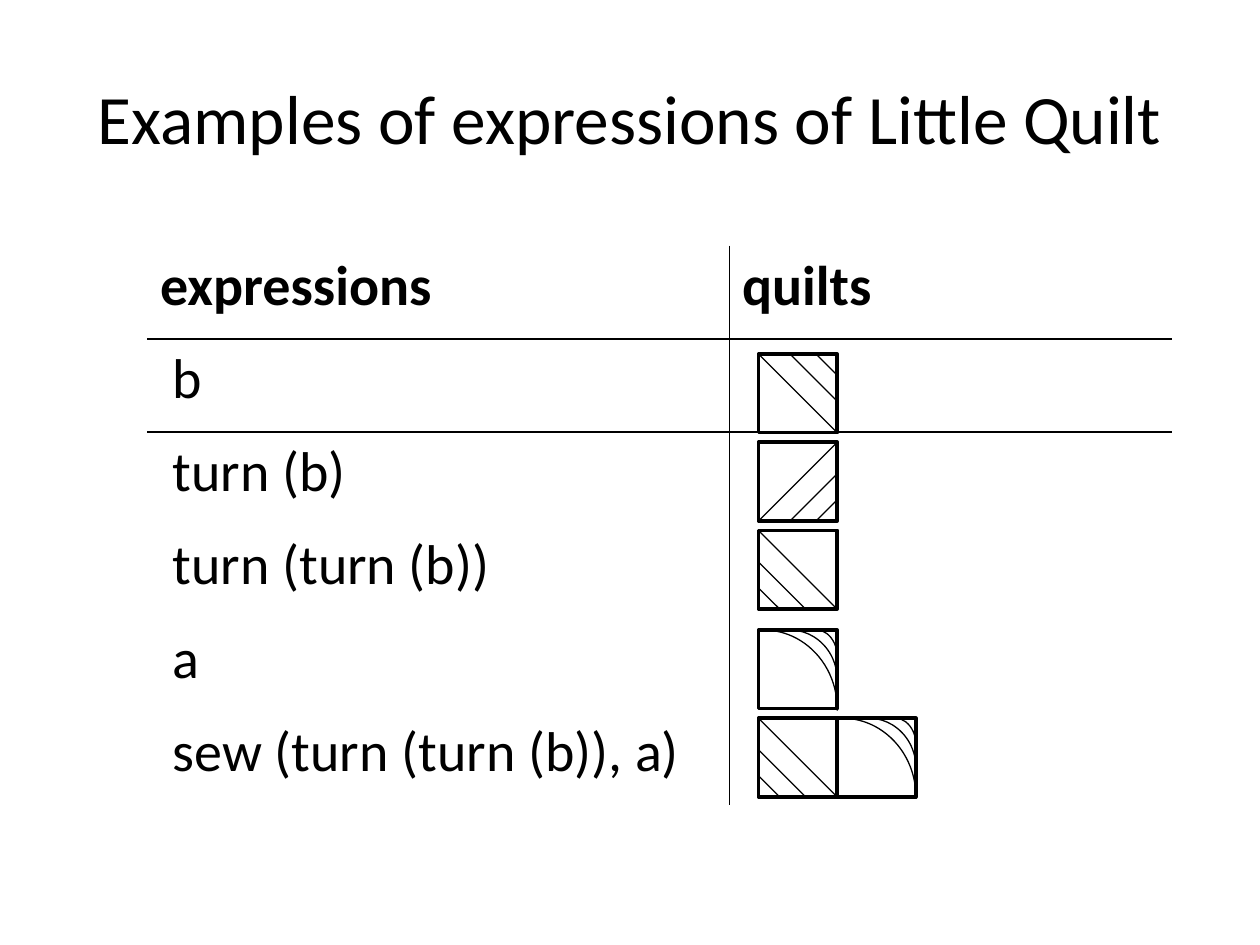
import dataclasses

import lxml.etree
import pptx
import pptx.dml.color
import pptx.enum.shapes
import pptx.enum.text
import pptx.oxml
import pptx.oxml.ns
import pptx.util

Inches = pptx.util.Inches
Pt = pptx.util.Pt
qn = pptx.oxml.ns.qn


@dataclasses.dataclass(frozen=True)
class Theme:
    ink: str = "000000"
    paper: str = "FFFFFF"
    font: str = "Calibri"
    title: float = 39.6
    body: float = 32
    rule: float = 1
    frame: float = 2
    thread: float = 0.75


THEME = Theme()
INK = pptx.dml.color.RGBColor.from_string(THEME.ink)
PLAIN_TABLE = "{2D5ABB26-0587-4C30-8999-92F81FD0307C}"
PATCH = 0.625
SEAMS = (0, 0.4, 0.73)
ARCS = ((1.17, 1.25), (0.75, 0.79), (0.33, 0.42))
ARC_ANGLES = (163.789, 0.902)
EXPRESSIONS = ("b", "turn (b)", "turn (turn (b))", "a", "sew (turn (turn (b)), a)")


def write_text(frame, text, size=THEME.body, bold=False, align=None):
    para = frame.paragraphs[0]
    para.alignment = align
    span = para.add_run()
    span.text = text
    span.font.name = THEME.font
    span.font.size = Pt(size)
    span.font.bold = bold
    span.font.color.rgb = INK


def place_title(page, left, top, width, height):
    box = page.shapes.add_textbox(Inches(left), Inches(top), Inches(width), Inches(height))
    box.text_frame.word_wrap = True
    box.text_frame.vertical_anchor = pptx.enum.text.MSO_ANCHOR.MIDDLE
    write_text(box.text_frame, "Examples of expressions of Little Quilt",
               size=THEME.title, align=pptx.enum.text.PP_ALIGN.CENTER)


def draw_borders(cell, sides):
    properties = cell._tc.get_or_add_tcPr()
    for side in sides:
        line = lxml.etree.SubElement(properties, qn(f"a:ln{side}"), w=str(Pt(THEME.rule)))
        fill = lxml.etree.SubElement(line, qn("a:solidFill"))
        lxml.etree.SubElement(fill, qn("a:srgbClr"), val=THEME.ink)


def place_table(page, left, top, widths, row_height):
    count = len(EXPRESSIONS) + 1
    holder = page.shapes.add_table(count, len(widths), Inches(left), Inches(top),
                                   Inches(sum(widths)), Inches(row_height * count))
    table = holder.table
    table.horz_banding = False
    table._tbl.tblPr.find(qn("a:tableStyleId")).text = PLAIN_TABLE
    for column, width in zip(table.columns, widths):
        column.width = Inches(width)
    for index, row in enumerate(table.rows):
        row.height = Inches(row_height)
        extra = "B" if index == 0 else "T" if index == 1 else ""
        for cell, side in zip(row.cells, "RL"):
            draw_borders(cell, side + extra)
            cell.fill.background()
    for cell, text in zip(table.rows[0].cells, ("expressions", "quilts")):
        write_text(cell.text_frame, text, bold=True)
    for index, text in enumerate(EXPRESSIONS, 1):
        cell = table.cell(index, 0)
        cell.margin_left = Inches(0.2)
        write_text(cell.text_frame, text)


def add_outline(group, kind, left, top, width, height, weight):
    shape = group.shapes.add_shape(kind, Inches(left), Inches(top), Inches(width), Inches(height))
    shape.shadow.inherit = False
    shape.fill.background()
    shape.line.color.rgb = INK
    shape.line.width = Pt(weight)
    return shape


def start_patch(page, left, top):
    group = page.shapes.add_group_shape()
    add_outline(group, pptx.enum.shapes.MSO_SHAPE.RECTANGLE,
                left, top, PATCH, PATCH, THEME.frame)
    return group


def place_striped_patch(page, left, top, turns=0):
    group = start_patch(page, left, top)

    def locate(across, down):
        for _ in range(turns):
            across, down = 1 - down, across
        return Inches(left + across * PATCH), Inches(top + down * PATCH)

    for seam in SEAMS:
        line = group.shapes.add_connector(pptx.enum.shapes.MSO_CONNECTOR.STRAIGHT,
                                          *locate(seam, 0), *locate(1, 1 - seam))
        line.line.color.rgb = INK
        line.line.width = Pt(THEME.thread)
        lxml.etree.SubElement(line._element.spPr, qn("a:effectLst"))


def place_curved_patch(page, left, top):
    group = start_patch(page, left, top)
    for width, height in ARCS:
        arc = add_outline(group, pptx.enum.shapes.MSO_SHAPE.ARC,
                          left + PATCH - width, top, width, height, THEME.thread)
        for index, angle in enumerate(ARC_ANGLES):
            arc.adjustments[index] = angle


def place_quilts(page, left, top):
    for turns in range(3):
        place_striped_patch(page, left, top + turns * 0.7, turns)
    place_curved_patch(page, left, top + 2.19)
    sewn_top = top + 2.89
    place_striped_patch(page, left, sewn_top, turns=2)
    place_curved_patch(page, left + PATCH, sewn_top)


def main():
    deck = pptx.Presentation()
    deck.slide_width, deck.slide_height = Inches(10), Inches(7.5)
    page = deck.slides.add_slide(deck.slide_layouts[6])
    page.background.fill.solid()
    page.background.fill.fore_color.rgb = pptx.dml.color.RGBColor.from_string(THEME.paper)
    place_title(page, 0.5, 0.3, 9, 1.25)
    place_table(page, 1.17, 1.95, (4.62, 3.51), 0.74)
    place_quilts(page, 6.02, 2.81)
    deck.save("out.pptx")


if __name__ == "__main__":
    main()
